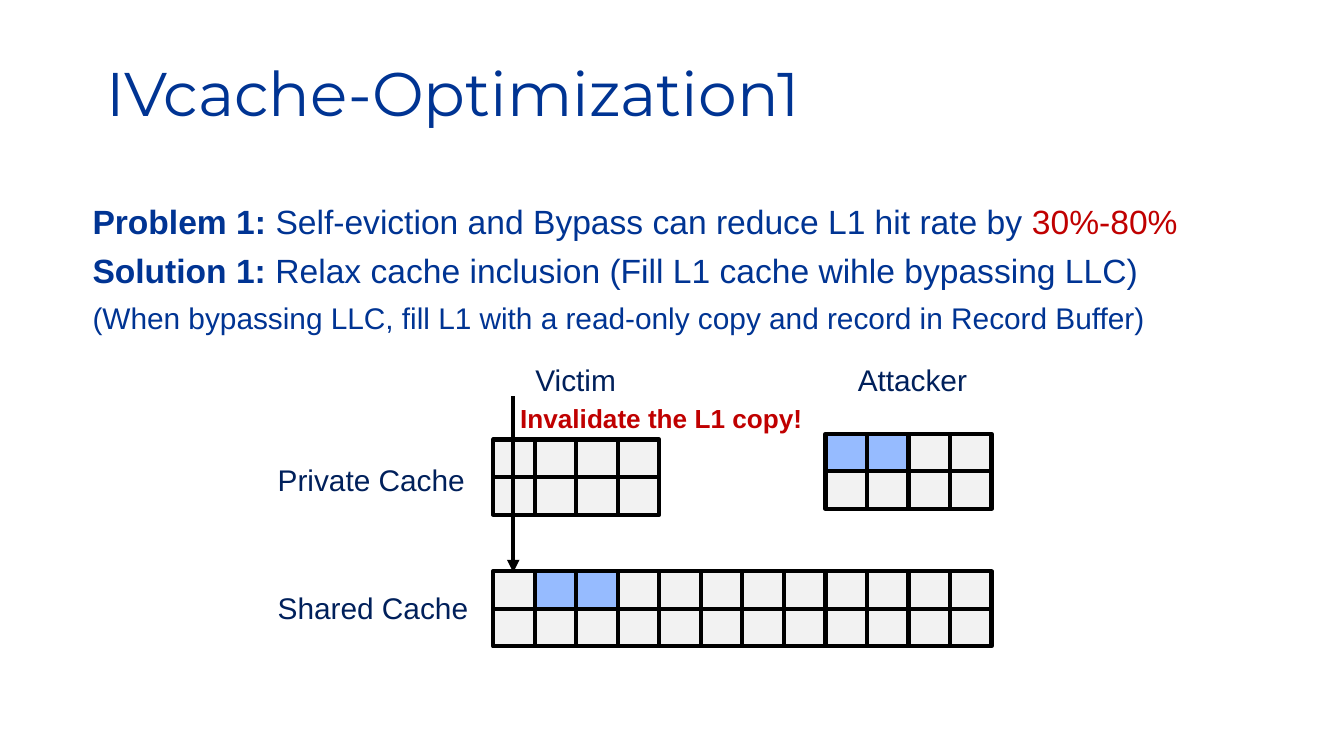
from lxml import etree
from pptx import Presentation
from pptx.dml.color import RGBColor
from pptx.enum.shapes import MSO_CONNECTOR, MSO_SHAPE
from pptx.enum.text import MSO_ANCHOR, MSO_AUTO_SIZE, PP_ALIGN
from pptx.oxml.ns import qn
from pptx.util import Cm, Pt

LEFT, CENTER = PP_ALIGN.LEFT, PP_ALIGN.CENTER
TOP = MSO_ANCHOR.TOP
NO_AUTOSIZE = MSO_AUTO_SIZE.NONE
RECTANGLE = MSO_SHAPE.RECTANGLE
STRAIGHT = MSO_CONNECTOR.STRAIGHT

BLUE = RGBColor(0x00, 0x34, 0x93)
NAVY = RGBColor(0x00, 0x20, 0x5B)
RED = RGBColor(0xC0, 0x00, 0x00)
BLACK = RGBColor(0x00, 0x00, 0x00)
GRAY = RGBColor(0xF2, 0xF2, 0xF2)
LIGHT_BLUE = RGBColor(0x96, 0xBB, 0xFF)

# Content: text runs are (text, format values)
TITLE = [[("IVcache-Optimization1", {"name": "Montserrat", "size": Pt(33), "color": BLUE})]]
BODY = {"size": Pt(18), "color": BLUE}
BODY_BOLD = {**BODY, "bold": True}
STATEMENTS = [
    [("Problem 1: ", BODY_BOLD),
     ("Self-eviction and Bypass can reduce L1 hit rate by ", BODY),
     ("30%-80%", {**BODY, "color": RED})],
    [("Solution 1:", BODY_BOLD),
     (" Relax cache inclusion (Fill L1 cache wihle bypassing LLC)", BODY)],
    [("(When bypassing LLC, fill L1 with a read-only copy and record in Record Buffer)",
      {**BODY, "size": Pt(16)})],
]
LABEL = {"size": Pt(16), "color": NAVY}
WARNING = {"size": Pt(14), "color": RED, "bold": True}
# text, format, left, top, width, height (cm), alignment
LABELS = [
    ("Private Cache", LABEL, 5, 8.61, 4.19, 0.94, LEFT),
    ("Shared Cache", LABEL, 5, 11.02, 4.19, 0.94, LEFT),
    ("Victim", LABEL, 9.8, 6.71, 2.16, 0.94, CENTER),
    ("Attacker", LABEL, 15.9, 6.71, 2.69, 0.94, CENTER),
    ("Invalidate the L1 copy!", WARNING, 9.58, 7.49, 5.84, 0.86, CENTER),
]

# Caches share one column grid: first column, columns, top (cm), filled top-row cells
GRID_LEFT, GRID_WIDTH, GRID_COLUMNS = 9.32, 9.42, 12
CELL_WIDTH, CELL_HEIGHT, CACHE_ROWS = GRID_WIDTH / GRID_COLUMNS, 0.71, 2
CACHES = [
    (0, 4, 8.31, ()),
    (8, 4, 8.2, (0, 1)),
    (0, 12, 10.8, (1, 2)),
]
ARROW_X, ARROW_TOP, ARROW_BOTTOM = 9.7, 7.49, 10.82


def write_text(frame, paragraphs, alignment=LEFT, line_spacing=1.0, space_after=0):
    frame.word_wrap = True
    frame.auto_size = NO_AUTOSIZE
    frame.vertical_anchor = TOP
    for index, runs in enumerate(paragraphs):
        paragraph = frame.add_paragraph() if index else frame.paragraphs[0]
        paragraph.alignment = alignment
        paragraph.line_spacing = line_spacing
        paragraph.space_before = Pt(0)
        paragraph.space_after = Pt(space_after)
        for text, values in runs:
            run = paragraph.add_run()
            run.text = text
            for key, value in {"name": "Arial", "bold": False, **values}.items():
                if key == "color":
                    run.font.color.rgb = value
                else:
                    setattr(run.font, key, value)


def add_text(slide, box, paragraphs, **layout):
    shape = slide.shapes.add_textbox(*map(Cm, box))
    write_text(shape.text_frame, paragraphs, **layout)


def add_cache(slide, first_column, columns, top, filled):
    group = slide.shapes.add_group_shape()
    for row in range(CACHE_ROWS):
        for column in range(columns):
            cell = group.shapes.add_shape(
                RECTANGLE,
                Cm(GRID_LEFT + (first_column + column) * CELL_WIDTH),
                Cm(top + row * CELL_HEIGHT),
                Cm(CELL_WIDTH), Cm(CELL_HEIGHT))
            cell.shadow.inherit = False
            cell.fill.solid()
            is_filled = row == 0 and column in filled
            cell.fill.fore_color.rgb = LIGHT_BLUE if is_filled else GRAY
            cell.line.color.rgb = BLACK
            cell.line.width = Pt(2.25)


def add_arrow(slide, x, top, bottom):
    arrow = slide.shapes.add_connector(STRAIGHT, Cm(x), Cm(top), Cm(x), Cm(bottom))
    arrow.line.color.rgb = BLACK
    arrow.line.width = Pt(2.25)
    line = arrow.line._get_or_add_ln()
    etree.SubElement(line, qn("a:tailEnd"), type="triangle")
    etree.SubElement(arrow._element.spPr, qn("a:effectLst"))


def main():
    presentation = Presentation()
    presentation.slide_width, presentation.slide_height = Cm(25.4), Cm(14.29)
    slide = presentation.slides.add_slide(presentation.slide_layouts[5])

    # Title and statements
    title = slide.shapes.title
    title.left, title.top, title.width, title.height = map(Cm, (1.75, 1.07, 21.9, 2.44))
    write_text(title.text_frame, TITLE, line_spacing=0.9)
    add_text(slide, (1.5, 3.63, 22.17, 3.45), STATEMENTS, line_spacing=1.05, space_after=4)

    # Cache diagram
    for cache in CACHES:
        add_cache(slide, *cache)
    add_arrow(slide, ARROW_X, ARROW_TOP, ARROW_BOTTOM)
    for text, values, *box, alignment in LABELS:
        add_text(slide, box, [[(text, values)]], alignment=alignment)

    presentation.save("out.pptx")


if __name__ == "__main__":
    main()
